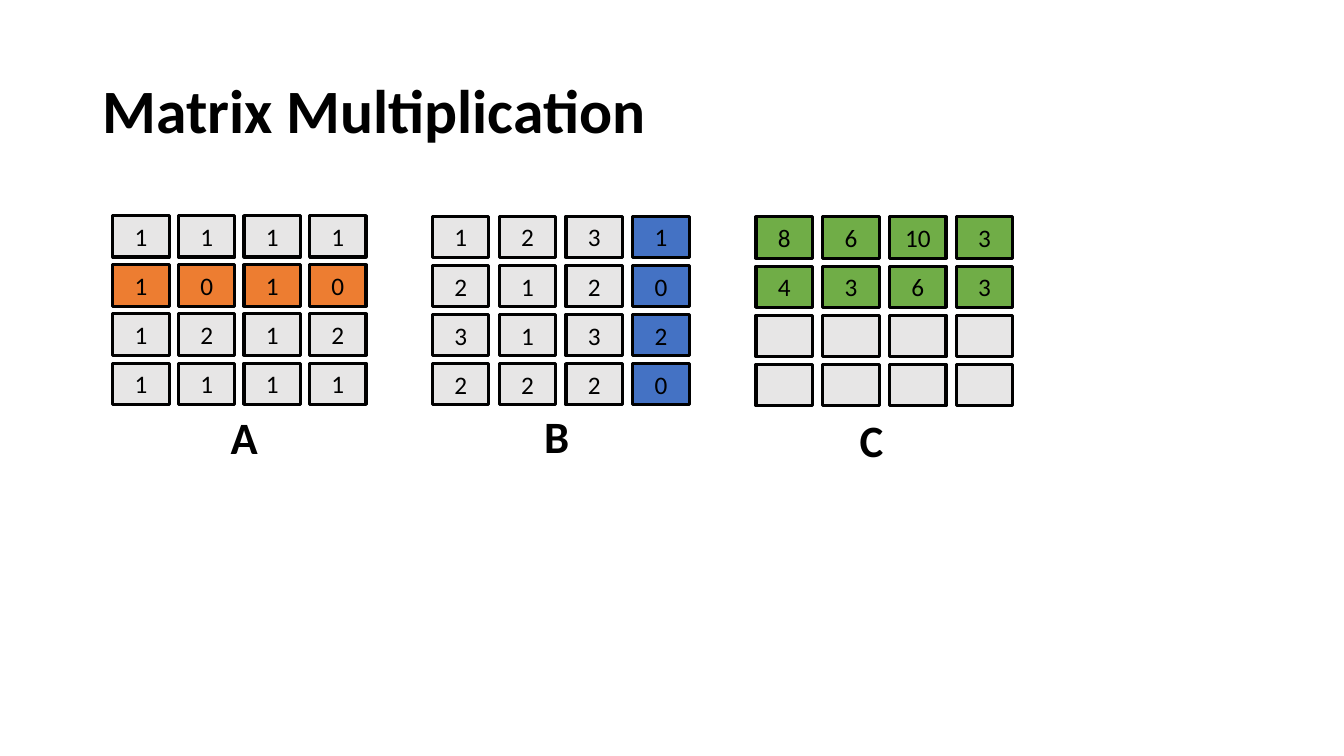
import pptx
import pptx.dml.color
import pptx.enum.shapes
import pptx.enum.text
import pptx.util

SLIDE_WIDTH = pptx.util.Inches(13.33)
SLIDE_HEIGHT = pptx.util.Inches(7.5)
FONT = "Calibri"
COLORS = {
    "ink": "000000",
    "plain": "E7E6E6",
    "row": "ED7D31",
    "column": "4472C4",
    "result": "70AD47",
}
CELL_WIDTH, CELL_HEIGHT, ROW_PITCH = 4.2, 5.47, 6.5

MATRICES = [
    {
        "name": "A", "left": 8.4, "top": 28.53, "pitch": 4.88,
        "label_left": 16.43, "label_top": 53.6,
        "values": ["1 1 1 1", "1 0 1 0", "1 2 1 2", "1 1 1 1"],
        "accent": "row", "accent_rows": [1], "accent_columns": range(4),
    },
    {
        "name": "B", "left": 32.18, "top": 28.6, "pitch": 4.97,
        "label_left": 39.75, "label_top": 53.47,
        "values": ["1 2 3 1", "2 1 2 0", "3 1 3 2", "2 2 2 0"],
        "accent": "column", "accent_rows": range(4), "accent_columns": [3],
    },
    {
        "name": "C", "left": 56.25, "top": 28.7, "pitch": 4.97,
        "label_left": 63.23, "label_top": 53.87,
        "values": ["8 6 10 3", "4 3 6 3", "", ""],
        "accent": "result", "accent_rows": [0, 1], "accent_columns": range(4),
    },
]


def color(key):
    """Return the palette colour for a key."""
    return pptx.dml.color.RGBColor.from_string(COLORS[key])


def area(left, top, width, height):
    """Turn percentages of the slide into lengths."""
    return (
        int(SLIDE_WIDTH * left / 100),
        int(SLIDE_HEIGHT * top / 100),
        int(SLIDE_WIDTH * width / 100),
        int(SLIDE_HEIGHT * height / 100),
    )


def write(frame, text, size, bold=False, align=pptx.enum.text.PP_ALIGN.LEFT):
    """Fill a text frame with one formatted paragraph."""
    frame.text = text
    paragraph = frame.paragraphs[0]
    paragraph.alignment = align
    paragraph.font.name = FONT
    paragraph.font.size = pptx.util.Pt(size)
    paragraph.font.bold = bold
    paragraph.font.color.rgb = color("ink")


def add_heading(slide, text):
    """Place and format the title placeholder."""
    heading = slide.shapes.title
    heading.left, heading.top, heading.width, heading.height = area(6.88, 5.33, 86.25, 19.33)
    frame = heading.text_frame
    write(frame, text, 44, bold=True)
    frame.auto_size = pptx.enum.text.MSO_AUTO_SIZE.NONE
    frame.vertical_anchor = pptx.enum.text.MSO_ANCHOR.MIDDLE
    frame.paragraphs[0].line_spacing = 0.9


def add_cell(slide, left, top, value, fill):
    """Draw one matrix entry, with its value if known."""
    cell = slide.shapes.add_shape(
        pptx.enum.shapes.MSO_SHAPE.RECTANGLE, *area(left, top, CELL_WIDTH, CELL_HEIGHT)
    )
    cell.shadow.inherit = False
    cell.fill.solid()
    cell.fill.fore_color.rgb = color(fill)
    cell.line.color.rgb = color("ink")
    cell.line.width = pptx.util.Pt(2.25)
    if value:
        cell.text_frame.vertical_anchor = pptx.enum.text.MSO_ANCHOR.MIDDLE
        write(cell.text_frame, value, 18, align=pptx.enum.text.PP_ALIGN.CENTER)


def add_label(slide, left, top, name):
    """Write the name of a matrix below it."""
    label = slide.shapes.add_textbox(*area(left, top, 3.45, 8.53))
    label.text_frame.word_wrap = False
    label.text_frame.auto_size = pptx.enum.text.MSO_AUTO_SIZE.SHAPE_TO_FIT_TEXT
    write(label.text_frame, name, 32, bold=True)


def add_matrix(slide, matrix):
    """Draw a four by four matrix with its accented cells and label."""
    for row, line in enumerate(matrix["values"]):
        entries = line.split() or [""] * 4
        for column, value in enumerate(entries):
            accented = row in matrix["accent_rows"] and column in matrix["accent_columns"]
            add_cell(
                slide,
                matrix["left"] + column * matrix["pitch"],
                matrix["top"] + row * ROW_PITCH,
                value,
                matrix["accent"] if accented else "plain",
            )
    add_label(slide, matrix["label_left"], matrix["label_top"], matrix["name"])


def main():
    """Build the slide and save it."""
    deck = pptx.Presentation()
    deck.slide_width, deck.slide_height = SLIDE_WIDTH, SLIDE_HEIGHT
    slide = deck.slides.add_slide(deck.slide_layouts[5])
    add_heading(slide, "Matrix Multiplication")
    for matrix in MATRICES:
        add_matrix(slide, matrix)
    deck.save("out.pptx")


if __name__ == "__main__":
    main()
